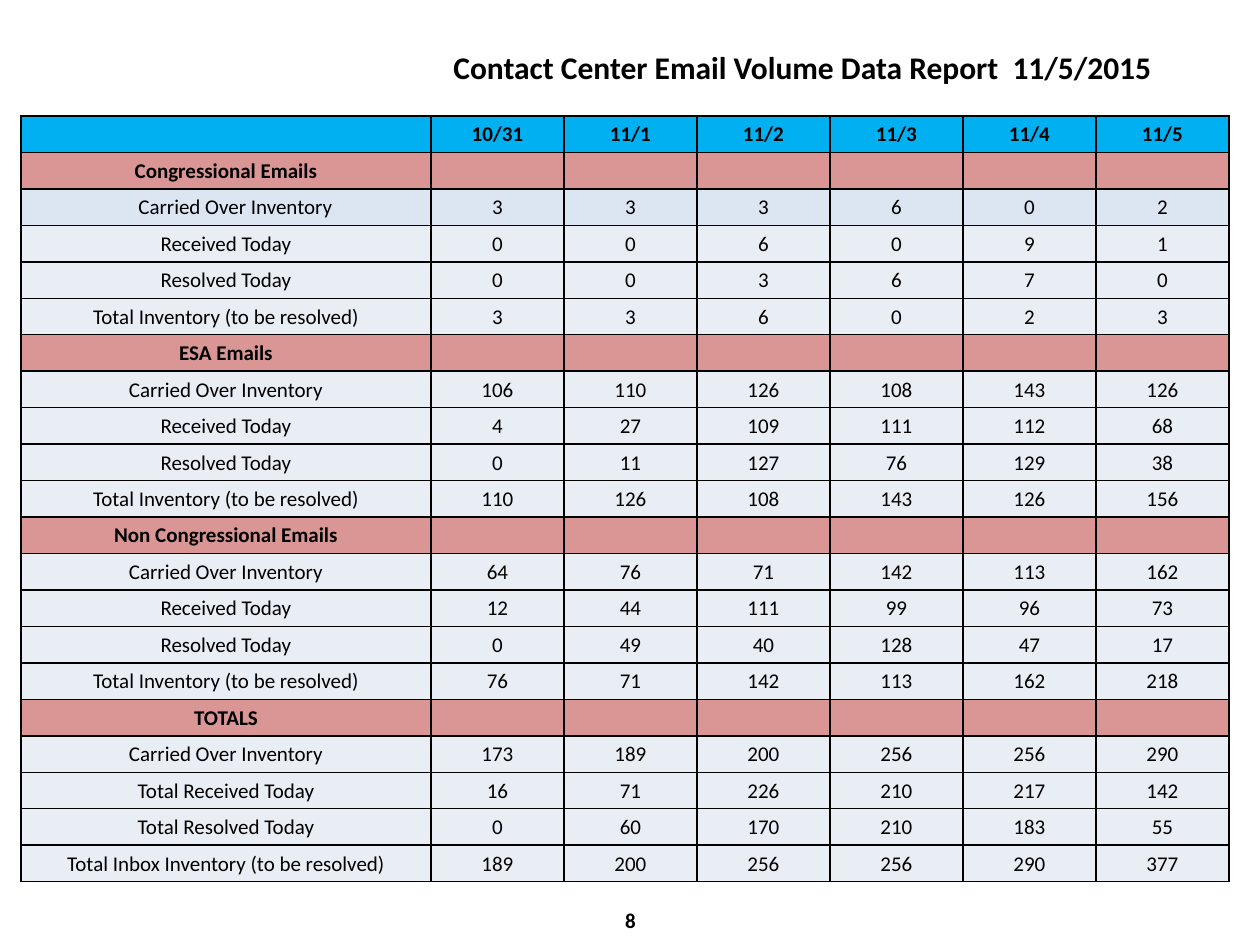
"""Build the contact center email volume report slide."""
from lxml import etree
from pptx import Presentation
from pptx.dml.color import RGBColor
from pptx.enum.text import MSO_ANCHOR, PP_ALIGN
from pptx.oxml.ns import qn
from pptx.util import Emu, Pt

CENTER, LEFT = PP_ALIGN.CENTER, PP_ALIGN.LEFT
MIDDLE, TOP = MSO_ANCHOR.MIDDLE, MSO_ANCHOR.TOP
SCALE = 914400 // 126
BLACK, HEADER, SECTION = "000000", "00B0F0", "D99694"
FIRST_BODY, BODY = "DCE6F2", "E9EDF4"
BODY_SIZE = 12
DATES = ["10/31", "11/1", "11/2", "11/3", "11/4", "11/5"]
CARRIED = "Carried Over Inventory"
LABELS = [CARRIED, "Received Today", "Resolved Today", "Total Inventory (to be resolved)"]
TOTAL_LABELS = [CARRIED, "Total Received Today", "Total Resolved Today",
                "Total Inbox Inventory (to be resolved)"]
SECTIONS = [
    ("Congressional Emails", LABELS, [
        [3, 3, 3, 6, 0, 2],
        [0, 0, 6, 0, 9, 1],
        [0, 0, 3, 6, 7, 0],
        [3, 3, 6, 0, 2, 3]]),
    ("ESA Emails", LABELS, [
        [106, 110, 126, 108, 143, 126],
        [4, 27, 109, 111, 112, 68],
        [0, 11, 127, 76, 129, 38],
        [110, 126, 108, 143, 126, 156]]),
    ("Non Congressional Emails", LABELS, [
        [64, 76, 71, 142, 113, 162],
        [12, 44, 111, 99, 96, 73],
        [0, 49, 40, 128, 47, 17],
        [76, 71, 142, 113, 162, 218]]),
    ("TOTALS", TOTAL_LABELS, [
        [173, 189, 200, 256, 256, 290],
        [16, 71, 226, 210, 217, 142],
        [0, 60, 170, 210, 183, 55],
        [189, 200, 256, 256, 290, 377]]),
]


def px(length):
    """Turn whole px into EMU."""
    return Emu(length * SCALE)


def color(value):
    """Turn a hex string into a colour."""
    return RGBColor.from_string(value)


def report_rows():
    """Return every table row as (texts, fill, bold)."""
    rows = [([""] + DATES, HEADER, True)]
    for heading, labels, values in SECTIONS:
        rows.append(([heading] + [""] * len(DATES), SECTION, True))
        for label, numbers in zip(labels, values):
            rows.append(([label] + [str(number) for number in numbers], BODY, False))
    first_texts, _, first_bold = rows[2]
    rows[2] = (first_texts, FIRST_BODY, first_bold)
    return rows


class ReportSlide:
    """Hold the style and the current slide."""

    def __init__(self, slide, font_name="Calibri"):
        self.slide = slide
        self.font_name = font_name

    def style(self, paragraph, size, bold, align):
        """Set the font and alignment of a paragraph."""
        paragraph.alignment = align
        font = paragraph.font
        font.name, font.size, font.bold = self.font_name, Pt(size), bold
        font.color.rgb = color(BLACK)

    def text(self, content, left, top, width, height, size, align, anchor):
        """Add a bold text box."""
        box = self.slide.shapes.add_textbox(px(left), px(top), px(width), px(height))
        frame = box.text_frame
        frame.word_wrap = True
        frame.vertical_anchor = anchor
        frame.text = content
        self.style(frame.paragraphs[0], size, True, align)

    def borders(self, cell):
        """Draw a one-point line on each side of a cell, ahead of its fill."""
        properties = cell._tc.get_or_add_tcPr()
        for index, side in enumerate(("lnL", "lnR", "lnT", "lnB")):
            line = etree.Element(qn(f"a:{side}"), w=str(Pt(1)))
            fill = etree.SubElement(line, qn("a:solidFill"))
            etree.SubElement(fill, qn("a:srgbClr"), val=BLACK)
            properties.insert(index, line)

    def cell(self, cell, content, fill, bold):
        """Fill one table cell."""
        cell.margin_left = cell.margin_right = cell.margin_top = px(1)
        cell.margin_bottom = 0
        cell.vertical_anchor = MIDDLE
        cell.fill.solid()
        cell.fill.fore_color.rgb = color(fill)
        self.borders(cell)
        cell.text = content
        paragraph = cell.text_frame.paragraphs[0]
        self.style(paragraph, BODY_SIZE, bold, CENTER)
        if not content:
            etree.SubElement(paragraph._p, qn("a:endParaRPr"), sz=str(BODY_SIZE * 100))

    def table(self, rows, left, top, column_widths, height):
        """Add a table with equal row heights."""
        frame = self.slide.shapes.add_table(
            len(rows), len(column_widths), px(left), px(top),
            px(sum(column_widths)), px(height))
        table = frame.table
        table.first_row = table.horz_banding = False
        for column, width in zip(table.columns, column_widths):
            column.width = px(width)
        for row, (texts, fill, bold) in zip(table.rows, rows):
            row.height = px(height) // len(rows)
            for cell, content in zip(row.cells, texts):
                self.cell(cell, content, fill, bold)
        return table


def main():
    """Build and save the slide."""
    presentation = Presentation()
    presentation.slide_width, presentation.slide_height = px(1260), px(945)
    slide = presentation.slides.add_slide(presentation.slide_layouts[6])
    report = ReportSlide(slide)
    report.text("8", 431, 895, 399, 50, 12, CENTER, MIDDLE)
    report.text("Contact Center Email Volume Data Report  11/5/2015",
                441, 42, 809, 50, 18, LEFT, TOP)
    table = report.table(report_rows(), 21, 116, [410] + [133] * len(DATES), 766)
    table.cell(2, 0).margin_left = px(20)
    presentation.save("out.pptx")


if __name__ == "__main__":
    main()
